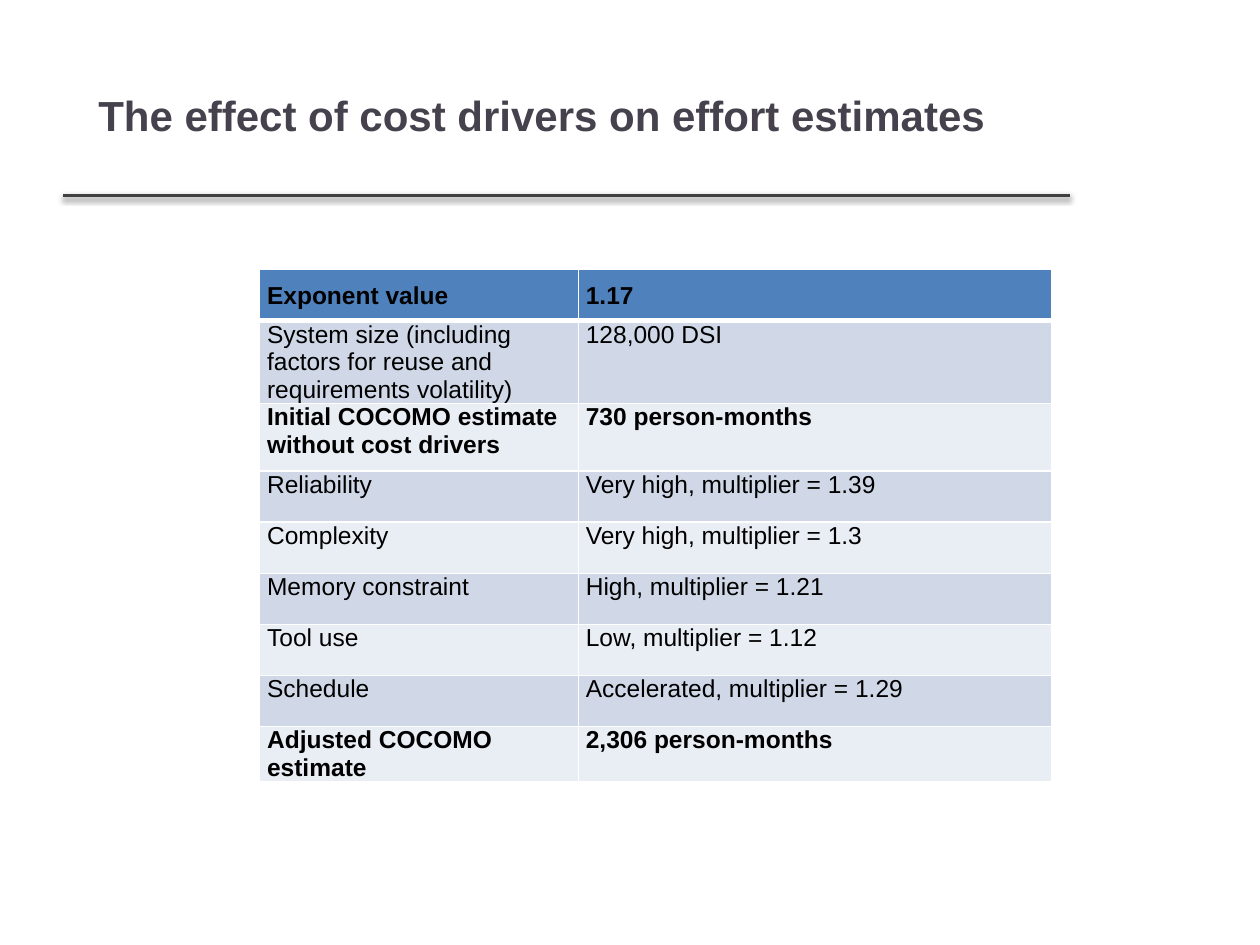
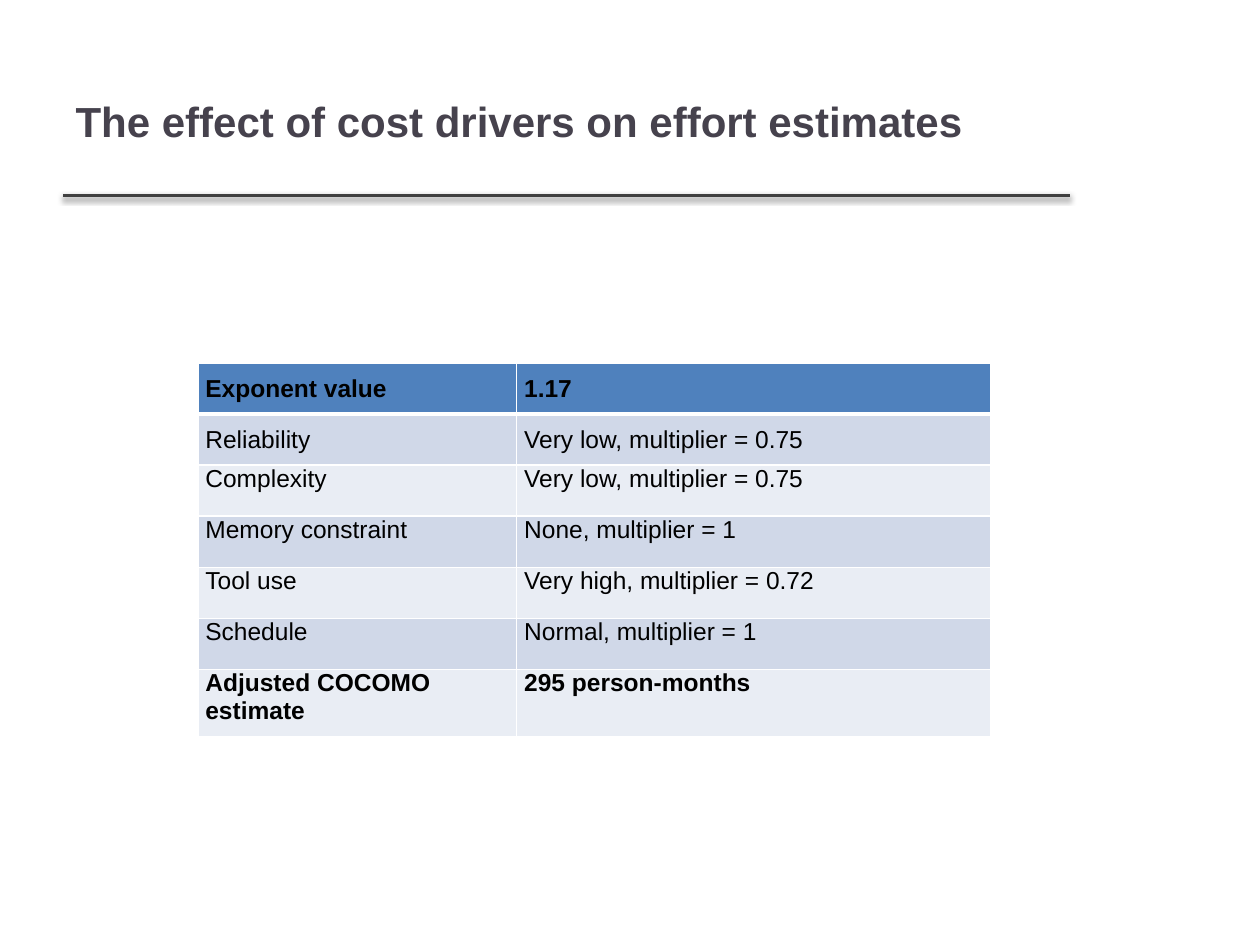
import pptx
import pptx.dml.color
import pptx.enum.shapes
import pptx.enum.text
import pptx.oxml
import pptx.oxml.ns
import pptx.util

RGBColor = pptx.dml.color.RGBColor
Alignment = pptx.enum.text.PP_ALIGN
Anchor = pptx.enum.text.MSO_ANCHOR

# Shared colours
TITLE_COLOUR = RGBColor(0x46, 0x42, 0x4D)
RULE_COLOUR = RGBColor(0x40, 0x40, 0x40)
TEXT_COLOUR = RGBColor(0x00, 0x00, 0x00)
BORDER_COLOUR = RGBColor(0xFF, 0xFF, 0xFF)
HEADER_FILL = RGBColor(0x4F, 0x81, 0xBD)
BAND_FILLS = (RGBColor(0xE9, 0xED, 0xF4), RGBColor(0xD0, 0xD8, 0xE8))

# Grid: 100 columns by 75 rows
SLIDE_WIDTH = pptx.util.Inches(10)
SLIDE_HEIGHT = pptx.util.Inches(7.5)
GRID_COLUMN = SLIDE_WIDTH / 100
GRID_ROW = SLIDE_HEIGHT / 75

# Shared formats
FONT = "Arial"
TITLE = "The effect of cost drivers on effort estimates"
TITLE_FONT = {"name": FONT, "size": pptx.util.Pt(24), "bold": True}
CELL_FONT = {"name": FONT, "size": pptx.util.Pt(14)}
ALIGNMENTS = (Alignment.LEFT, Alignment.JUSTIFY)
TABLE_COLUMNS = (25.3, 37.6)
ROW_HEIGHT = pptx.util.Pt(29.2)
PADDING = 1  # grid rows of extra inset above or below a cell's text

# Table rows: driver, value, bold, padding above, padding below
STRONG_DRIVERS = [
    ("Exponent value", "1.17", True, PADDING, 0),
    ("System size (including factors for reuse and requirements volatility)",
     "128,000 DSI", False, 0, 0),
    ("Initial COCOMO estimate without cost drivers",
     "730 person-months", True, 0, PADDING),
    ("Reliability", "Very high, multiplier = 1.39", False, 0, 0),
    ("Complexity", "Very high, multiplier = 1.3", False, 0, 0),
    ("Memory constraint", "High, multiplier = 1.21", False, 0, 0),
    ("Tool use", "Low, multiplier = 1.12", False, 0, 0),
    ("Schedule", "Accelerated, multiplier = 1.29", False, 0, 0),
    ("Adjusted COCOMO estimate", "2,306 person-months", True, 0, 0),
]
WEAK_DRIVERS = [
    ("Exponent value", "1.17", True, PADDING, 0),
    ("Reliability", "Very low, multiplier = 0.75", False, PADDING, 0),
    ("Complexity", "Very low, multiplier = 0.75", False, 0, 0),
    ("Memory constraint", "None, multiplier = 1", False, 0, 0),
    ("Tool use", "Very high, multiplier = 0.72", False, 0, 0),
    ("Schedule", "Normal, multiplier = 1", False, 0, 0),
    ("Adjusted COCOMO estimate", "295 person-months", True, 0, PADDING),
]


def across(columns):
    return round(columns * GRID_COLUMN)


def down(rows):
    return round(rows * GRID_ROW)


def set_values(target, values):
    for name, value in values.items():
        setattr(target, name, value)


def format_font(font, values, colour):
    set_values(font, values)
    font.color.rgb = colour


def place_title(slide, box):
    left, top, width, height = box
    title = slide.shapes.title
    set_values(title, {"left": across(left), "top": down(top),
                       "width": across(width), "height": down(height)})
    title.text_frame.text = TITLE
    title.text_frame.vertical_anchor = Anchor.MIDDLE
    paragraph = title.text_frame.paragraphs[0]
    paragraph.alignment = Alignment.LEFT
    format_font(paragraph.runs[0].font, TITLE_FONT, TITLE_COLOUR)


def place_rule(slide, left, right, top):
    rule = slide.shapes.add_connector(
        pptx.enum.shapes.MSO_CONNECTOR.STRAIGHT,
        across(left), down(top), across(right), down(top))
    rule.line.color.rgb = RULE_COLOUR
    rule.line.width = pptx.util.Pt(2)
    # Soft shadow straight below the line
    rule._element.spPr.append(pptx.oxml.parse_xml(
        f'<a:effectLst {pptx.oxml.ns.nsdecls("a")}>'
        f'<a:outerShdw blurRad="{pptx.util.Pt(3.1)}" dist="{pptx.util.Pt(1.6)}"'
        ' dir="5400000" rotWithShape="0"><a:srgbClr val="000000">'
        '<a:alpha val="38000"/></a:srgbClr></a:outerShdw></a:effectLst>'))


def set_borders(cell, row_index):
    # The edge below the header row is thicker
    widths = {"L": 1, "R": 1, "T": 3 if row_index == 1 else 1,
              "B": 3 if row_index == 0 else 1}
    properties = cell._tc.get_or_add_tcPr()
    for side, width in widths.items():
        properties.append(pptx.oxml.parse_xml(
            f'<a:ln{side} {pptx.oxml.ns.nsdecls("a")} w="{pptx.util.Pt(width)}">'
            f'<a:solidFill><a:srgbClr val="{BORDER_COLOUR}"/></a:solidFill>'
            f'</a:ln{side}>'))


def fill_cell(cell, text, row_index, alignment, bold, above, below):
    set_borders(cell, row_index)
    cell.fill.solid()
    cell.fill.fore_color.rgb = BAND_FILLS[row_index % 2] if row_index else HEADER_FILL
    set_values(cell, {"margin_left": across(0.6), "margin_right": across(0.6),
                      "margin_top": down(above), "margin_bottom": down(below),
                      "vertical_anchor": Anchor.TOP, "text": text})
    paragraph = cell.text_frame.paragraphs[0]
    set_values(paragraph, {"alignment": alignment, "space_after": pptx.util.Pt(3)})
    format_font(paragraph.runs[0].font, {**CELL_FONT, "bold": bold}, TEXT_COLOUR)


def place_driver_table(slide, left, top, drivers):
    table = slide.shapes.add_table(
        len(drivers), len(TABLE_COLUMNS), across(left), down(top),
        across(sum(TABLE_COLUMNS)), ROW_HEIGHT * len(drivers)).table
    set_values(table, {"first_row": False, "horz_banding": False})
    for column, width in zip(table.columns, TABLE_COLUMNS):
        column.width = across(width)
    for row_index, (driver, value, *cell_format) in enumerate(drivers):
        table.rows[row_index].height = ROW_HEIGHT
        for column_index, text in enumerate((driver, value)):
            fill_cell(table.cell(row_index, column_index), text, row_index,
                      ALIGNMENTS[column_index], *cell_format)


def add_driver_slide(presentation, title_box, table_left, table_top, drivers):
    slide = presentation.slides.add_slide(presentation.slide_layouts[5])
    place_rule(slide, 5, 84.9, 15.5)
    place_title(slide, title_box)
    place_driver_table(slide, table_left, table_top, drivers)


def main():
    presentation = pptx.Presentation()
    set_values(presentation, {"slide_width": SLIDE_WIDTH, "slide_height": SLIDE_HEIGHT})
    add_driver_slide(presentation, (6.8, 3.4, 76.7, 11.4), 20.6, 21.4, STRONG_DRIVERS)
    add_driver_slide(presentation, (5, 3.4, 79.6, 12.3), 15.7, 28.8, WEAK_DRIVERS)
    presentation.save("out.pptx")


if __name__ == "__main__":
    main()
